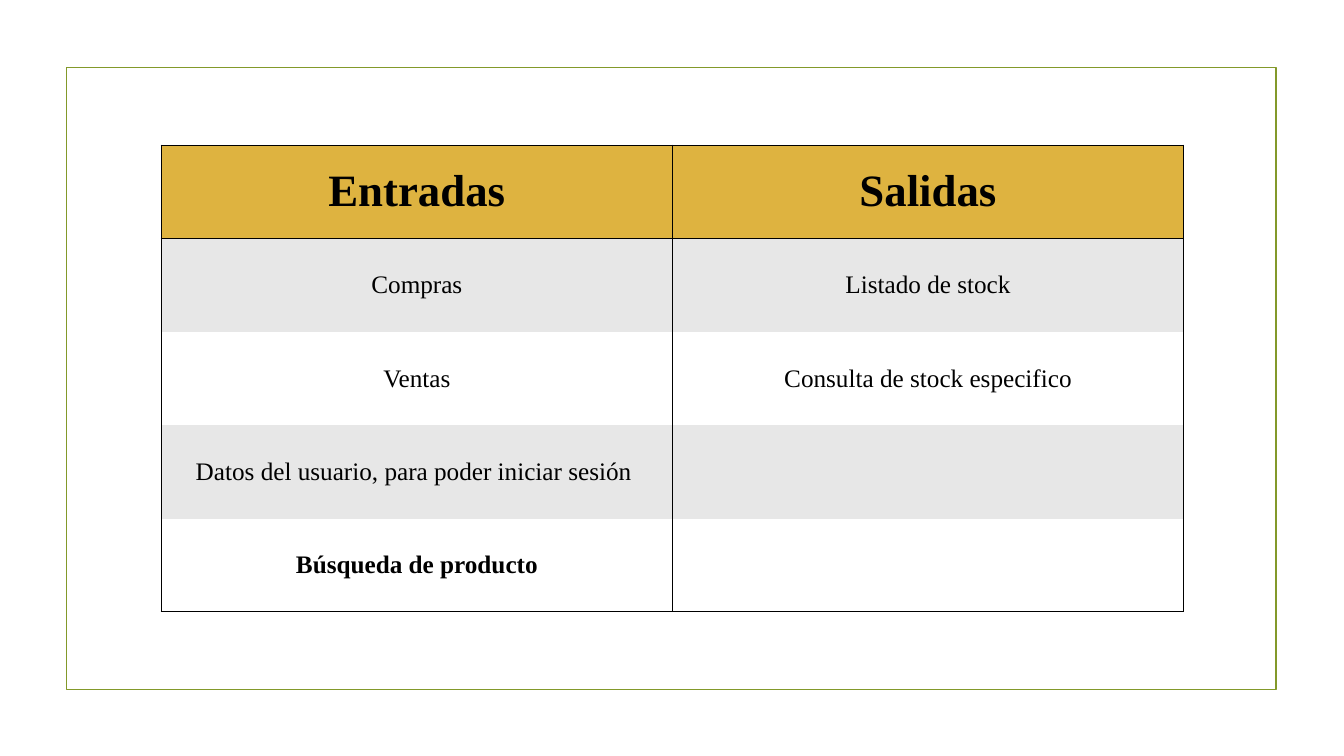
from lxml.etree import SubElement as Sub
from pptx import Presentation
from pptx.dml.color import RGBColor
from pptx.enum.shapes import MSO_SHAPE as Shape
from pptx.enum.text import MSO_ANCHOR as Anchor, PP_ALIGN as Align
from pptx.oxml.ns import qn
from pptx.util import Inches, Pt

ROWS = [
    ("Entradas", "Salidas"),
    ("Compras", "Listado de stock"),
    ("Ventas", "Consulta de stock especifico"),
    ("Datos del usuario, para poder iniciar sesión ", ""),
    ("Búsqueda de producto", ""),
]
WIDE, HIGH = 13.33, 7.5
FRAME = (0.66, 0.67, 12, 6.17)
GRID = (1.6, 1.44, 10.14, 4.63)
GOLD, GREY, WHITE, BLACK, GREEN = "DEB340", "E7E7E7", "FFFFFF", "000000", "83992A"
HEAD = {"size": Pt(32), "bold": True}
BODY = {"size": Pt(18), "bold": False}
LAST = {"size": Pt(18), "bold": True}


def tint(fill, code):
    fill.solid()
    fill.fore_color.rgb = RGBColor.from_string(code)


def edge(cell, side, shown):
    line = Sub(cell._tc.get_or_add_tcPr(), qn("a:ln" + side), w=str(Pt(1)))
    if shown:
        Sub(Sub(line, qn("a:solidFill")), qn("a:srgbClr"), val=BLACK)
    else:
        Sub(line, qn("a:noFill"))


def draw_frame(slide):
    box = slide.shapes.add_shape(Shape.RECTANGLE, *map(Inches, FRAME))
    box.shadow.inherit = False
    box.fill.background()
    tint(box.line.fill, GREEN)
    box.line.width = Pt(1.25)


def draw_cell(cell, row, text):
    last = len(ROWS) - 1
    sides = {"L": True, "R": True, "T": row < 2, "B": row in (0, last)}
    for side, shown in sides.items():
        edge(cell, side, shown)
    tint(cell.fill, GOLD if row == 0 else GREY if row % 2 else WHITE)
    cell.vertical_anchor = Anchor.MIDDLE
    para = cell.text_frame.paragraphs[0]
    para.alignment = Align.CENTER
    if text:
        run = para.add_run()
        run.text = text
        look = {0: HEAD, last: LAST}.get(row, BODY)
        for key, value in {"name": "Times New Roman", **look}.items():
            setattr(run.font, key, value)
        tint(run.font.fill, BLACK)


def draw_table(slide):
    count, cols = len(ROWS), len(ROWS[0])
    table = slide.shapes.add_table(count, cols, *map(Inches, GRID)).table
    for col in table.columns:
        col.width = Inches(GRID[2] / cols)
    for line in table.rows:
        line.height = Inches(GRID[3] / count)
    for row, texts in enumerate(ROWS):
        for col, text in enumerate(texts):
            draw_cell(table.cell(row, col), row, text)


def main():
    deck = Presentation()
    deck.slide_width, deck.slide_height = Inches(WIDE), Inches(HIGH)
    slide = deck.slides.add_slide(deck.slide_layouts[6])
    tint(slide.background.fill, WHITE)
    draw_frame(slide)
    draw_table(slide)
    deck.save("out.pptx")


if __name__ == "__main__":
    main()
